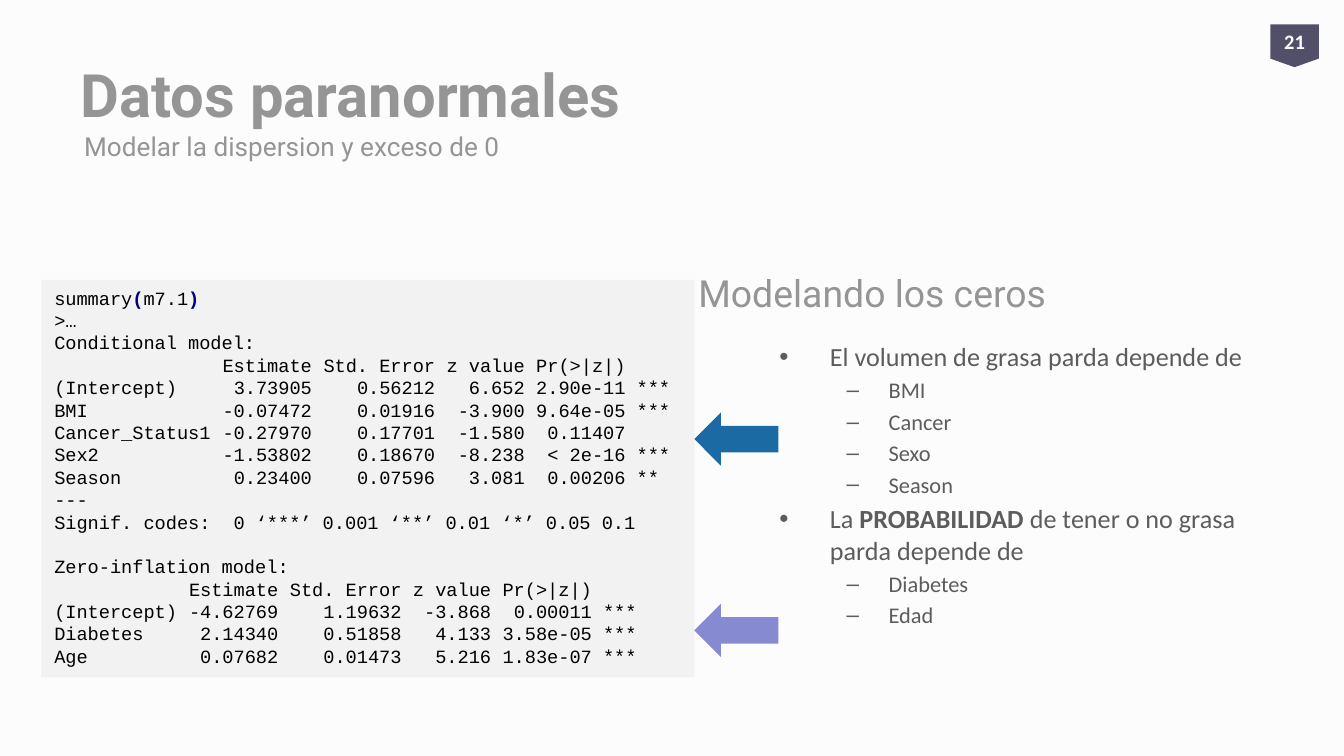
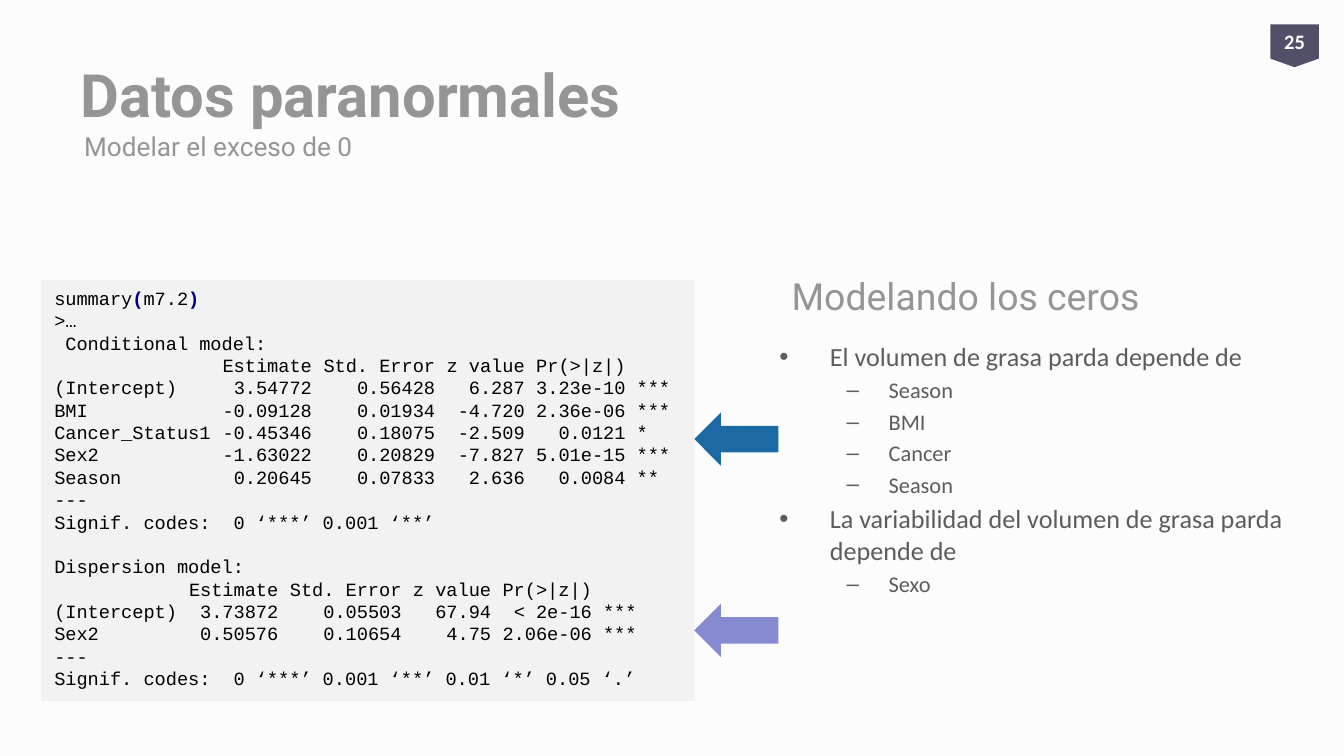
from dataclasses import dataclass
from typing import NamedTuple

from lxml.etree import SubElement
from pptx import Presentation
from pptx.dml.color import RGBColor
from pptx.enum.shapes import MSO_SHAPE as Preset
from pptx.enum.text import MSO_ANCHOR as Anchor, MSO_AUTO_SIZE as AutoSize, PP_ALIGN as Align
from pptx.oxml.ns import qn
from pptx.util import Pt

COLORS = {
    "page": "FCFCFC", "heading": "959595", "body": "5C5C5C", "console": "F2F2F2",
    "code": "000000", "bracket": "000080", "badge": "525068", "badge_text": "FFFFFF",
    "main_arrow": "1B6AA3", "second_arrow": "868AD1",
}
CHAR_WIDTH = 6
LINE_HEIGHT = 12
SIGNIF_COLUMN = 16
COLUMN_ENDS = (23, 34, 42, 51)
HEADER = ("", "Estimate", "Std. Error", "z value", "Pr(>|z|)")


class Box(NamedTuple):
    left: float
    top: float
    width: float
    height: float


class Style(NamedTuple):
    font: str
    size: float
    color: str
    bold: bool = False


class Span(NamedTuple):
    text: str
    bold: bool = False


class Bullet(NamedTuple):
    spans: tuple[Span, ...]
    subitems: tuple[str, ...]


class Level(NamedTuple):
    mark: str
    margin: float
    hanging: float
    style: Style


@dataclass(frozen=True)
class Model:
    title: str
    rows: tuple[tuple[str, ...], ...]
    shift: int = 0
    signif: str = ""


@dataclass(frozen=True)
class ModelSlide:
    number: str
    subtitle: str
    heading_box: Box
    call: str
    console_height: float
    models: tuple[Model, ...]
    bullets: tuple[Bullet, ...]


TITLE_BOX = Box(36, 16.5, 528, 67.5)
SUBTITLE_BOX = Box(38, 64, 384.5, 29)
BADGE_BOX = Box(680.5, 13, 26, 23)
BULLETS_BOX = Box(410.5, 179, 291, 188)
CONSOLE_LEFT, CONSOLE_TOP, CONSOLE_WIDTH = 22, 150, 350
ARROWS = (
    (Box(372, 221, 45, 28.5), "main_arrow"),
    (Box(372, 323.5, 45, 28.5), "second_arrow"),
)

TITLE = Style("Roboto", 32, "heading", True)
SUBTITLE = Style("Roboto", 14, "heading")
HEADING = Style("Roboto", 20, "heading")
BADGE = Style("Calibri", 11, "badge_text", True)
CODE = Style("Courier New", 10, "code")
BRACKET = CODE._replace(color="bracket", bold=True)
ITEM = Level("•", 27, 27, Style("Calibri", 14, "body"))
SUBITEM = Level("–", 58.5, 22.5, Style("Calibri", 12, "body"))

SLIDES = (
    ModelSlide(
        "21", "Modelar la dispersion y exceso de 0", Box(367, 135.5, 239, 42), "m7.1", 213,
        (
            Model("Conditional model:", (
                ("(Intercept)", "3.73905", "0.56212", "6.652", "2.90e-11", "***"),
                ("BMI", "-0.07472", "0.01916", "-3.900", "9.64e-05", "***"),
                ("Cancer_Status1", "-0.27970", "0.17701", "-1.580", "0.11407"),
                ("Sex2", "-1.53802", "0.18670", "-8.238", "< 2e-16", "***"),
                ("Season", "0.23400", "0.07596", "3.081", "0.00206", "**"),
            ), signif="0 ‘***’ 0.001 ‘**’ 0.01 ‘*’ 0.05 0.1"),
            Model("Zero-inflation model:", (
                ("(Intercept)", "-4.62769", "1.19632", "-3.868", "0.00011", "***"),
                ("Diabetes", "2.14340", "0.51858", "4.133", "3.58e-05", "***"),
                ("Age", "0.07682", "0.01473", "5.216", "1.83e-07", "***"),
            ), shift=-3),
        ),
        (
            Bullet((Span("El volumen de grasa parda depende de"),),
                   ("BMI", "Cancer", "Sexo", "Season")),
            Bullet((Span("La "), Span("PROBABILIDAD", True),
                    Span(" de tener o no grasa parda depende de")),
                   ("Diabetes", "Edad")),
        ),
    ),
    ModelSlide(
        "25", "Modelar el exceso de 0", Box(417, 137.5, 239, 42), "m7.2", 225.5,
        (
            Model(" Conditional model:", (
                ("(Intercept)", "3.54772", "0.56428", "6.287", "3.23e-10", "***"),
                ("BMI", "-0.09128", "0.01934", "-4.720", "2.36e-06", "***"),
                ("Cancer_Status1", "-0.45346", "0.18075", "-2.509", "0.0121", "*"),
                ("Sex2", "-1.63022", "0.20829", "-7.827", "5.01e-15", "***"),
                ("Season", "0.20645", "0.07833", "2.636", "0.0084", "**"),
            ), signif="0 ‘***’ 0.001 ‘**’"),
            Model("Dispersion model:", (
                ("(Intercept)", "3.73872", "0.05503", "67.94", "< 2e-16", "***"),
                ("Sex2", "0.50576", "0.10654", "4.75", "2.06e-06", "***"),
            ), shift=-3, signif="0 ‘***’ 0.001 ‘**’ 0.01 ‘*’ 0.05 ‘.’"),
        ),
        (
            Bullet((Span("El volumen de grasa parda depende de"),),
                   ("Season", "BMI", "Cancer", "Season")),
            Bullet((Span("La variabilidad del volumen de grasa parda depende de"),), ("Sexo",)),
        ),
    ),
)


def rgb(name: str) -> RGBColor:
    return RGBColor.from_string(COLORS[name])


def add_run(paragraph, text: str, style: Style) -> None:
    run = paragraph.add_run()
    run.text = text
    run.font.name, run.font.size, run.font.bold = style.font, Pt(style.size), style.bold
    run.font.color.rgb = rgb(style.color)


def next_paragraph(frame):
    first = frame.paragraphs[0]
    paragraph = frame.add_paragraph() if first.runs else first
    paragraph.alignment = Align.LEFT
    return paragraph


def prepare_frame(shape, anchor: Anchor):
    frame = shape.text_frame
    frame.word_wrap, frame.auto_size = True, AutoSize.NONE
    frame.vertical_anchor = anchor
    return frame


def add_text_area(slide, box: Box, anchor: Anchor = Anchor.MIDDLE):
    return prepare_frame(slide.shapes.add_textbox(*map(Pt, box)), anchor)


def add_filled(slide, preset: Preset, box: Box, color: str):
    shape = slide.shapes.add_shape(preset, *map(Pt, box))
    shape.shadow.inherit = False
    shape.fill.solid()
    shape.fill.fore_color.rgb = rgb(color)
    shape.line.fill.background()
    return shape


def set_title(slide, text: str) -> None:
    title = slide.shapes.title
    title.left, title.top, title.width, title.height = map(Pt, TITLE_BOX)
    add_run(next_paragraph(prepare_frame(title, Anchor.MIDDLE)), text, TITLE)


def add_badge(slide, number: str) -> None:
    badge = add_filled(slide, Preset.FLOWCHART_OFFPAGE_CONNECTOR, BADGE_BOX, "badge")
    frame = prepare_frame(badge, Anchor.MIDDLE)
    frame.margin_left = frame.margin_right = frame.margin_top = frame.margin_bottom = 0
    paragraph = next_paragraph(frame)
    paragraph.alignment = Align.CENTER
    add_run(paragraph, number, BADGE)


def add_tabs(paragraph, stops: list[tuple[int, str]]) -> None:
    tabs = SubElement(paragraph._p.get_or_add_pPr(), qn("a:tabLst"))
    for column, alignment in stops:
        SubElement(tabs, qn("a:tab"), pos=str(Pt(column * CHAR_WIDTH)), algn=alignment)


def add_code_line(frame, *parts: tuple[str, Style]):
    paragraph = next_paragraph(frame)
    paragraph.line_spacing = Pt(LINE_HEIGHT)
    for text, style in parts:
        add_run(paragraph, text, style)
    return paragraph


def add_model(frame, model: Model, gap: float) -> None:
    add_code_line(frame, (model.title, CODE)).space_before = Pt(gap)
    ends = [end + model.shift for end in COLUMN_ENDS]
    stops = [(end, "r") for end in ends] + [(ends[-1] + 1, "l")]
    for row in (HEADER, *model.rows):
        add_tabs(add_code_line(frame, ("\t".join(row), CODE)), stops)
    if model.signif:
        add_code_line(frame, ("---", CODE))
        legend = add_code_line(frame, ("Signif. codes:\t" + model.signif, CODE))
        add_tabs(legend, [(SIGNIF_COLUMN, "l")])


def add_console(slide, content: ModelSlide) -> None:
    box = Box(CONSOLE_LEFT, CONSOLE_TOP, CONSOLE_WIDTH, content.console_height)
    frame = prepare_frame(add_filled(slide, Preset.RECTANGLE, box, "console"), Anchor.TOP)
    add_code_line(frame, ("summary", CODE), ("(", BRACKET), (content.call, CODE), (")", BRACKET))
    add_code_line(frame, (">…", CODE))
    for index, model in enumerate(content.models):
        add_model(frame, model, LINE_HEIGHT * index)


def add_list_entry(frame, level: Level, spans: tuple[Span, ...]) -> None:
    paragraph = next_paragraph(frame)
    paragraph.level = int(level is SUBITEM)
    paragraph.space_before = Pt(0.2 * level.style.size)
    properties = paragraph._p.get_or_add_pPr()
    properties.set("marL", str(Pt(level.margin)))
    properties.set("indent", str(-Pt(level.hanging)))
    SubElement(properties, qn("a:buFont"), typeface="Arial")
    SubElement(properties, qn("a:buChar"), char=level.mark)
    for span in spans:
        add_run(paragraph, span.text, level.style._replace(bold=span.bold))


def add_bullets(slide, bullets: tuple[Bullet, ...]) -> None:
    frame = add_text_area(slide, BULLETS_BOX, Anchor.TOP)
    for bullet in bullets:
        add_list_entry(frame, ITEM, bullet.spans)
        for subitem in bullet.subitems:
            add_list_entry(frame, SUBITEM, (Span(subitem),))


def build_slide(deck, content: ModelSlide) -> None:
    slide = deck.slides.add_slide(deck.slide_layouts[5])
    set_title(slide, "Datos paranormales")
    add_run(next_paragraph(add_text_area(slide, SUBTITLE_BOX)), content.subtitle, SUBTITLE)
    add_console(slide, content)
    add_bullets(slide, content.bullets)
    for box, color in ARROWS:
        add_filled(slide, Preset.LEFT_ARROW, box, color)
    add_badge(slide, content.number)
    heading = next_paragraph(add_text_area(slide, content.heading_box))
    add_run(heading, "Modelando los ceros", HEADING)


def main() -> None:
    """Build the slides that compare the two fitted models."""
    deck = Presentation()
    deck.slide_width, deck.slide_height = Pt(720), Pt(405)
    background = deck.slide_master.background.fill
    background.solid()
    background.fore_color.rgb = rgb("page")
    for content in SLIDES:
        build_slide(deck, content)
    deck.save("out.pptx")


if __name__ == "__main__":
    main()
